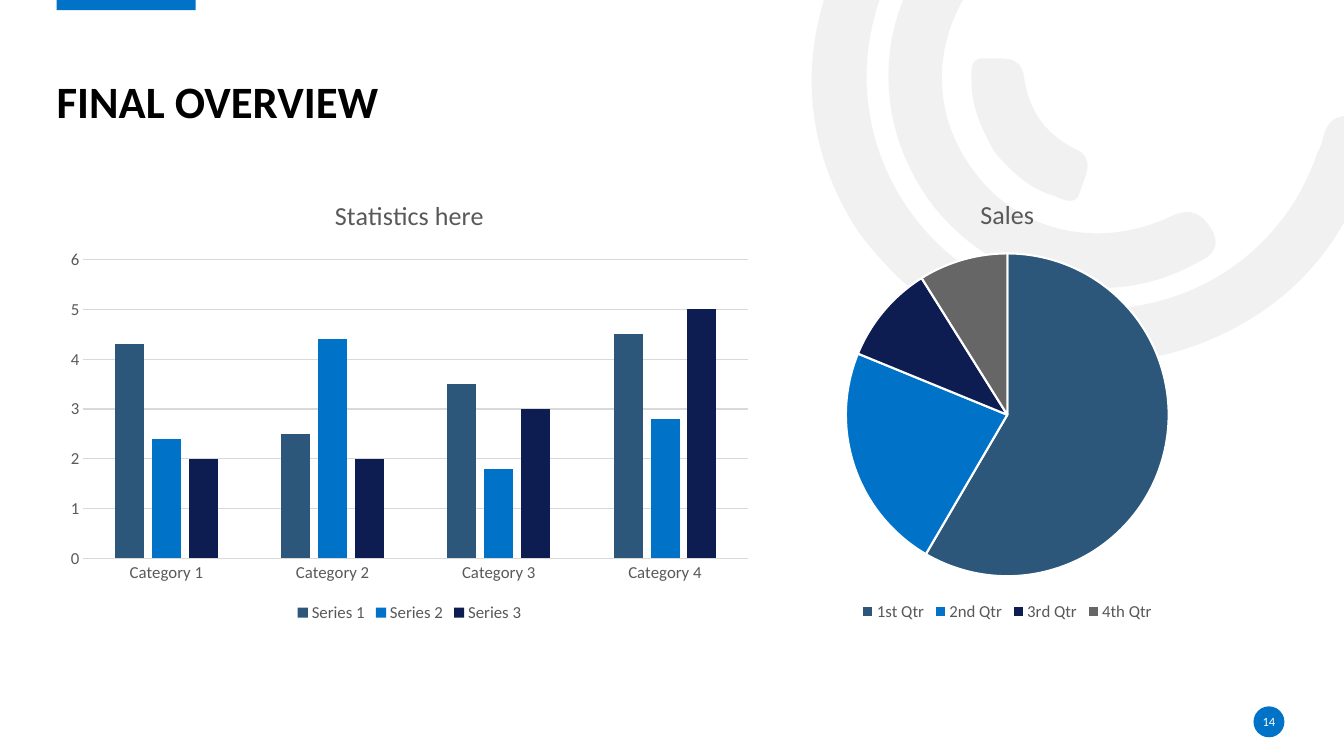
from lxml import etree
from pptx import Presentation
from pptx.chart.data import CategoryChartData
from pptx.dml.color import RGBColor
from pptx.enum.chart import XL_CHART_TYPE, XL_LEGEND_POSITION, XL_TICK_MARK
from pptx.enum.shapes import MSO_SHAPE
from pptx.enum.text import MSO_ANCHOR, PP_ALIGN
from pptx.oxml.ns import qn
from pptx.util import Cm, Pt

COLUMNS, PIE = XL_CHART_TYPE.COLUMN_CLUSTERED, XL_CHART_TYPE.PIE
LEGEND_BOTTOM = XL_LEGEND_POSITION.BOTTOM
NO_TICK = XL_TICK_MARK.NONE
RECTANGLE, OVAL = MSO_SHAPE.RECTANGLE, MSO_SHAPE.OVAL
MIDDLE, BOTTOM = MSO_ANCHOR.MIDDLE, MSO_ANCHOR.BOTTOM
CENTER, LEFT = PP_ALIGN.CENTER, PP_ALIGN.LEFT

FONT = "Calibri"
BLACK = RGBColor(0x00, 0x00, 0x00)
WHITE = RGBColor(0xFF, 0xFF, 0xFF)
STEEL = RGBColor(0x2C, 0x56, 0x7A)
BLUE = RGBColor(0x00, 0x72, 0xC7)
NAVY = RGBColor(0x0D, 0x1D, 0x51)
GRAY = RGBColor(0x66, 0x66, 0x66)
CHART_TEXT = RGBColor(0x59, 0x59, 0x59)
GRID = RGBColor(0xD9, 0xD9, 0xD9)
ARC_GRAY = RGBColor(0xE7, 0xE6, 0xE6)
PALETTE = [STEEL, BLUE, NAVY, GRAY]

ARC_OPACITY = 53
ARC_UNIT = Cm(2.54)
# Each arc: a start point, then cubic curves as two control points and an end point.
ARCS = [
    ((8.51, 2.29), [
        (7.99, 1.49, 7.87, 0.5, 8.38, -0.5),
        (8.9, -1.52, 9.76, -2.03, 10.9, -2.07),
        (11.05, -2.07, 11.21, -2.1, 11.31, -1.95),
        (11.44, -1.75, 11.27, -1.54, 10.98, -1.54),
        (9.67, -1.54, 8.65, -0.59, 8.6, 0.68),
        (8.56, 1.81, 9.36, 2.81, 10.46, 3.02),
        (11.6, 3.24, 12.7, 2.61, 13.07, 1.52),
        (13.09, 1.48, 13.11, 1.44, 13.12, 1.4),
        (13.16, 1.19, 13.27, 1.11, 13.49, 1.17),
        (13.73, 1.24, 13.67, 1.41, 13.61, 1.56),
        (13.34, 2.45, 12.78, 3.07, 11.91, 3.41),
        (10.7, 3.87, 9.36, 3.45, 8.51, 2.29),
    ]),
    ((9.22, 1.99), [
        (8.62, 1.15, 8.69, 0.07, 9.4, -0.68),
        (9.51, -0.79, 9.62, -0.95, 9.8, -0.78),
        (9.95, -0.64, 9.97, -0.5, 9.79, -0.32),
        (9.25, 0.26, 9.2, 1.08, 9.65, 1.68),
        (10.08, 2.29, 10.88, 2.49, 11.61, 2.15),
        (11.82, 2.05, 11.93, 2.12, 12.03, 2.29),
        (12.13, 2.5, 11.97, 2.56, 11.83, 2.63),
        (10.96, 3.1, 9.83, 2.82, 9.22, 1.99),
    ]),
    ((9.87, 1.51), [
        (9.75, 1.3, 9.64, 1.07, 9.64, 0.82),
        (9.64, 0.73, 9.61, 0.57, 9.76, 0.58),
        (9.92, 0.59, 10.13, 0.53, 10.16, 0.76),
        (10.21, 1.1, 10.36, 1.32, 10.67, 1.48),
        (10.88, 1.57, 10.76, 1.76, 10.72, 1.89),
        (10.68, 2.06, 10.55, 1.98, 10.45, 1.94),
        (10.21, 1.87, 10.03, 1.7, 9.87, 1.51),
    ]),
]


def style_font(font, size, color, bold=False):
    font.name, font.size, font.bold = FONT, Pt(size), bold
    font.color.rgb = color


def fill_plain(shape, color):
    shape.shadow.inherit = False
    shape.fill.solid()
    shape.fill.fore_color.rgb = color
    shape.line.fill.background()


def add_text_line(slide, box, text, size, color, anchor, alignment, bold=False):
    frame = slide.shapes.add_textbox(*box).text_frame
    frame.word_wrap = True
    frame.margin_left = frame.margin_right = frame.margin_top = frame.margin_bottom = 0
    frame.vertical_anchor = anchor
    paragraph = frame.paragraphs[0]
    paragraph.alignment = alignment
    run = paragraph.add_run()
    run.text = text
    style_font(run.font, size, color, bold)
    return paragraph


def bend_lines(shape):
    """Turn every three line segments of a freeform into one cubic curve."""
    lines = list(shape._element.iter(qn("a:lnTo")))
    for first in range(0, len(lines), 3):
        curve = etree.Element(qn("a:cubicBezTo"))
        lines[first].addprevious(curve)
        for line in lines[first:first + 3]:
            curve.append(line[0])
            line.getparent().remove(line)


def add_arc_pattern(slide, left, top):
    for start, curves in ARCS:
        points = [start] + [curve[index:index + 2] for curve in curves for index in (0, 2, 4)]
        places = [(left + x * ARC_UNIT, top + y * ARC_UNIT) for x, y in points]
        builder = slide.shapes.build_freeform(*places[0])
        builder.add_line_segments(places[1:], close=True)
        arc = builder.convert_to_shape()
        bend_lines(arc)
        fill_plain(arc, ARC_GRAY)
        color = arc._element.spPr.find(qn("a:solidFill")).find(qn("a:srgbClr"))
        etree.SubElement(color, qn("a:alpha")).set("val", str(ARC_OPACITY * 1000))


def add_header(slide, left, top, width):
    accent = slide.shapes.add_shape(RECTANGLE, left, top - Cm(0.04), Cm(3.5), Cm(0.3))
    fill_plain(accent, BLUE)
    title_box = (left, top + Cm(0.68), width, Cm(2.56))
    title = add_text_line(slide, title_box, "FINAL OVERVIEW", 32, BLACK, BOTTOM, LEFT, bold=True)
    title.line_spacing = 0.9


def add_page_number(slide, left, top, diameter):
    badge = slide.shapes.add_shape(OVAL, left, top, diameter, diameter)
    fill_plain(badge, BLUE)
    number_box = (left, top + Cm(0.13), diameter, diameter - Cm(0.26))
    add_text_line(slide, number_box, "14", 9, WHITE, MIDDLE, CENTER)


def add_titled_chart(slide, kind, box, title, categories, series):
    data = CategoryChartData()
    data.categories = categories
    for name, values in series:
        data.add_series(name, values)
    chart = slide.shapes.add_chart(kind, *box, data).chart
    style_font(chart.font, 10, BLACK)
    chart.has_title = True
    run = chart.chart_title.text_frame.paragraphs[0].add_run()
    run.text = title
    style_font(run.font, 18.6, CHART_TEXT)
    chart.chart_title.include_in_layout = False
    chart.has_legend = True
    chart.legend.position = LEGEND_BOTTOM
    chart.legend.include_in_layout = False
    style_font(chart.legend.font, 12, CHART_TEXT)
    return chart


def add_statistics_chart(slide, *box):
    chart = add_titled_chart(
        slide, COLUMNS, box, "Statistics here",
        [f"Category {number}" for number in range(1, 5)],
        [("Series 1", (4.3, 2.5, 3.5, 4.5)),
         ("Series 2", (2.4, 4.4, 1.8, 2.8)),
         ("Series 3", (2, 2, 3, 5))])
    plot = chart.plots[0]
    plot.gap_width, plot.overlap, plot.vary_by_categories = 219, -27, False
    for series, color in zip(plot.series, PALETTE):
        series.format.fill.solid()
        series.format.fill.fore_color.rgb = color
    for axis in (chart.category_axis, chart.value_axis):
        axis.major_tick_mark = axis.minor_tick_mark = NO_TICK
        style_font(axis.tick_labels.font, 12, CHART_TEXT)
    values = chart.value_axis
    values.minimum_scale, values.maximum_scale, values.major_unit = 0, 6, 1
    values.format.line.fill.background()
    for line in (chart.category_axis.format.line, values.major_gridlines.format.line):
        line.color.rgb = GRID
        line.width = Pt(0.75)


def add_sales_chart(slide, *box):
    chart = add_titled_chart(slide, PIE, box, "Sales",
                             ["1st Qtr", "2nd Qtr", "3rd Qtr", "4th Qtr"],
                             [("Sales", (59, 23, 10, 9))])
    plot = chart.plots[0]
    plot.vary_by_categories = True
    for index, color in enumerate(PALETTE):
        slice_format = plot.series[0].points[index].format
        slice_format.fill.solid()
        slice_format.fill.fore_color.rgb = color
        slice_format.line.color.rgb = WHITE
        slice_format.line.width = Pt(1.5)


def main():
    presentation = Presentation()
    presentation.slide_width, presentation.slide_height = Cm(33.87), Cm(19.05)
    slide = presentation.slides.add_slide(presentation.slide_layouts[6])
    margin = Cm(1.43)
    add_arc_pattern(slide, 0, 0)
    add_header(slide, margin, 0, presentation.slide_width - 2 * margin)
    add_statistics_chart(slide, margin, Cm(4.49), Cm(17.78), Cm(11.3))
    add_sales_chart(slide, Cm(16.9), Cm(4.46), Cm(16.97), Cm(11.3))
    add_page_number(slide, Cm(31.59), Cm(17.8), Cm(0.78))
    presentation.save("out.pptx")


if __name__ == "__main__":
    main()
